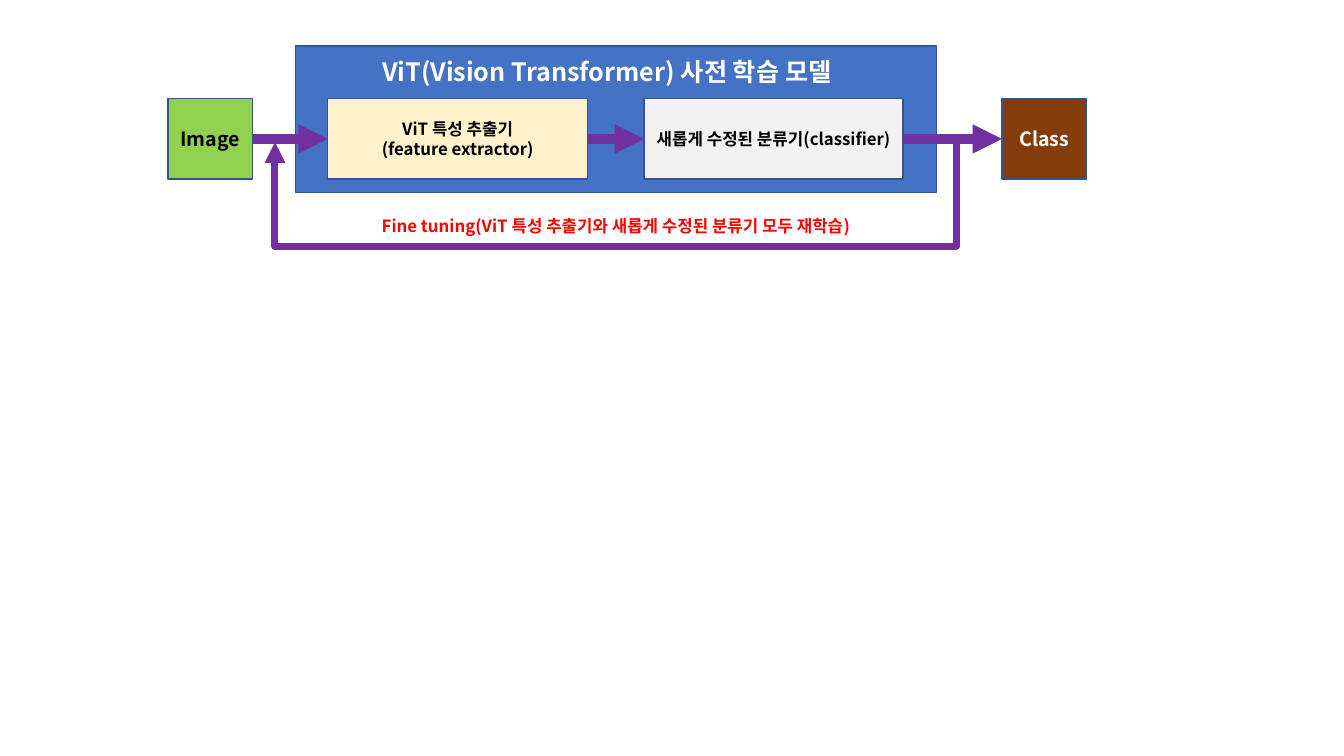
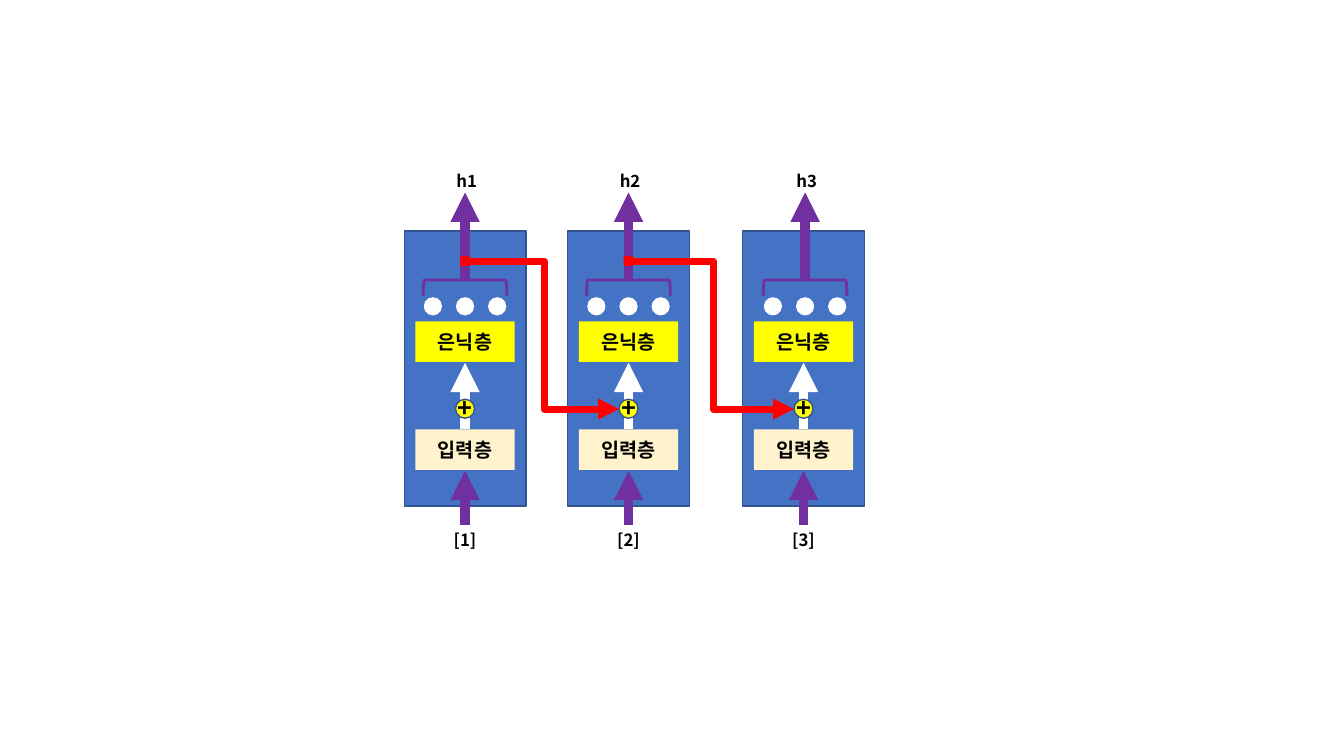
"""Build two diagram slides: ViT fine tuning and a recurrent network."""
import pptx
import pptx.util
import pptx.dml.color
import pptx.enum.shapes
import pptx.enum.text
import pptx.oxml.ns
import lxml.etree

Cm = pptx.util.Cm
qn = pptx.oxml.ns.qn
kinds = pptx.enum.shapes.MSO_SHAPE
links = pptx.enum.shapes.MSO_CONNECTOR
align = pptx.enum.text.PP_ALIGN

theme = {
    "font": {"name": "Noto Sans CJK KR", "bold": True},
    "frame": {"word_wrap": True, "margin_left": 0, "margin_right": 0},
    "size": {"title": 18, "layer": 14, "label": 12},
    "line": {"edge": 1, "bracket": 2, "route": 5, "arrow": 7},
    "blue": "4472C4", "edge": "325491", "purple": "7030A0", "red": "FF0000",
    "green": "92D050", "brown": "843C0B", "cream": "FFF2CC", "grey": "F2F2F2",
    "yellow": "FFFF00", "white": "FFFFFF", "black": "000000",
}


def tint(name):
    return pptx.dml.color.RGBColor.from_string(theme[name])


def box(slide, kind, at, fill=None, edge=None, words="", size="label",
        ink="black", side=align.CENTER, weight="edge"):
    at = [Cm(n) for n in at]
    if kind is None:
        shape = slide.shapes.add_textbox(*at)
    else:
        shape = slide.shapes.add_shape(kind, *at)
        shape.shadow.inherit = False
        shape.text_frame.vertical_anchor = pptx.enum.text.MSO_ANCHOR.MIDDLE
        for part, hue in ((shape.fill, fill), (shape.line.fill, edge)):
            if hue:
                part.solid()
                part.fore_color.rgb = tint(hue)
            else:
                part.background()
        if edge:
            shape.line.width = pptx.util.Pt(theme["line"][weight])
    if words:
        for key, value in theme["frame"].items():
            setattr(shape.text_frame, key, value)
        shape.text_frame.text = words
        look = theme["font"] | {"size": pptx.util.Pt(theme["size"][size])}
        for para in shape.text_frame.paragraphs:
            para.alignment = side
            for run in para.runs:
                for key, value in look.items():
                    setattr(run.font, key, value)
                run.font.color.rgb = tint(ink)
        for latin in list(shape.element.iter(qn("a:latin"))):
            east = lxml.etree.Element(qn("a:ea"), typeface=look["name"])
            latin.addnext(east)
    return shape


def wire(slide, ends, hue="purple", kind=links.STRAIGHT, weight="arrow"):
    line = slide.shapes.add_connector(kind, *[Cm(n) for n in ends])
    line.line.color.rgb = tint(hue)
    line.line.width = pptx.util.Pt(theme["line"][weight])
    props = line.element.spPr
    lxml.etree.SubElement(props.find(qn("a:ln")), qn("a:tailEnd"), type="triangle")
    lxml.etree.SubElement(props, qn("a:effectLst"))
    return props


deck = pptx.Presentation()
deck.slide_width, deck.slide_height = Cm(33.87), Cm(19.05)
blank = deck.slide_layouts[6]

tune = deck.slides.add_slide(blank)
box(tune, kinds.RECTANGLE, (7.45, 1.16, 16.15, 3.7), "blue", "edge")
top, high = 2.49, 2.02
mid = top + high / 2
for left, wide, fill, words, size, ink in (
    (4.23, 2.14, "green", "Image", "layer", "black"),
    (8.26, 6.55, "cream", "ViT 특성 추출기\n(feature extractor)", "label", "black"),
    (16.23, 6.53, "grey", "새롭게 수정된 분류기(classifier)", "label", "black"),
    (25.25, 2.14, "brown", "Class", "layer", "white"),
):
    box(tune, kinds.RECTANGLE, (left, top, wide, high), fill, "edge", words, size, ink)
for start, end in ((6.37, 8.26), (14.81, 16.23), (22.76, 25.25)):
    wire(tune, (start, mid, end, mid))
box(tune, None, (9.63, 1.3, 12, 1.02), words="ViT(Vision Transformer) 사전 학습 모델",
    size="title", ink="white", side=align.LEFT)
box(tune, None, (8.74, 5.31, 13.56, 0.76),
    words="Fine tuning(ViT 특성 추출기와 새롭게 수정된 분류기 모두 재학습)", ink="red")

right, left, start, end, low = 24.1, 6.93, 3.53, 3.58, 6.2
x, y = (left + right) / 2, (start + end) / 2
thin, span = end - start, right - left
loop = wire(tune, (x - thin / 2, y - span / 2, x + thin / 2, y + span / 2),
            kind=links.ELBOW, weight="route")
loop.find(qn("a:xfrm")).set("rot", str(90 * 60000))
bend = round((low - start) / thin * 100000)
guides = loop.find(qn("a:prstGeom")).find(qn("a:avLst"))
lxml.etree.SubElement(guides, qn("a:gd"), name="adj1", fmla=f"val {bend}")

net = deck.slides.add_slide(blank)
cells = (11.72, 15.84, 20.25)
heads = (11.72, 15.84, 20.29)
for step, (x, head) in enumerate(zip(cells, heads), 1):
    box(net, kinds.RECTANGLE, (x - 1.53, 5.82, 3.07, 6.93), "blue", "edge")
    for ends, hue in (
        ((x, 10.82, x, 9.14), "white"),
        ((x, 13.23, x, 11.86), "purple"),
        ((head, 7.04, head, 4.85), "purple"),
    ):
        wire(net, ends, hue)
    for y, fill, words in ((10.82, "cream", "입력층"), (8.1, "yellow", "은닉층")):
        box(net, kinds.RECTANGLE, (x - 1.25, y, 2.5, 1.02), fill, words=words, size="layer")
    box(net, kinds.OVAL, (x - 0.24, 10.06, 0.48, 0.48), "yellow", "edge")
    box(net, None, (x - 0.48, 9.75, 0.96, 1.02), words="+", size="title")
    for shift in (-0.81, 0, 0.81):
        box(net, kinds.OVAL, (head + shift - 0.23, 7.49, 0.46, 0.46), "white")
    brace = box(net, kinds.RIGHT_BRACKET, (head - 0.2, 6.2, 0.4, 2.11),
                edge="purple", weight="bracket")
    brace.rotation = 270
    for spot, y, words in ((head + 0.04, 4.17, f"h{step}"), (x, 13.23, f"[{step}]")):
        box(net, None, (spot - 1.5, y, 3, 0.76), words=words)
for x, goal in zip(cells, cells[1:]):
    box(net, kinds.RECTANGLE, (x - 0.12, 6.45, 0.24, 0.25), "red")
    wire(net, (x + 0.12, 6.58, goal - 0.24, 10.31), "red", links.ELBOW, "route")

deck.save("out.pptx")
